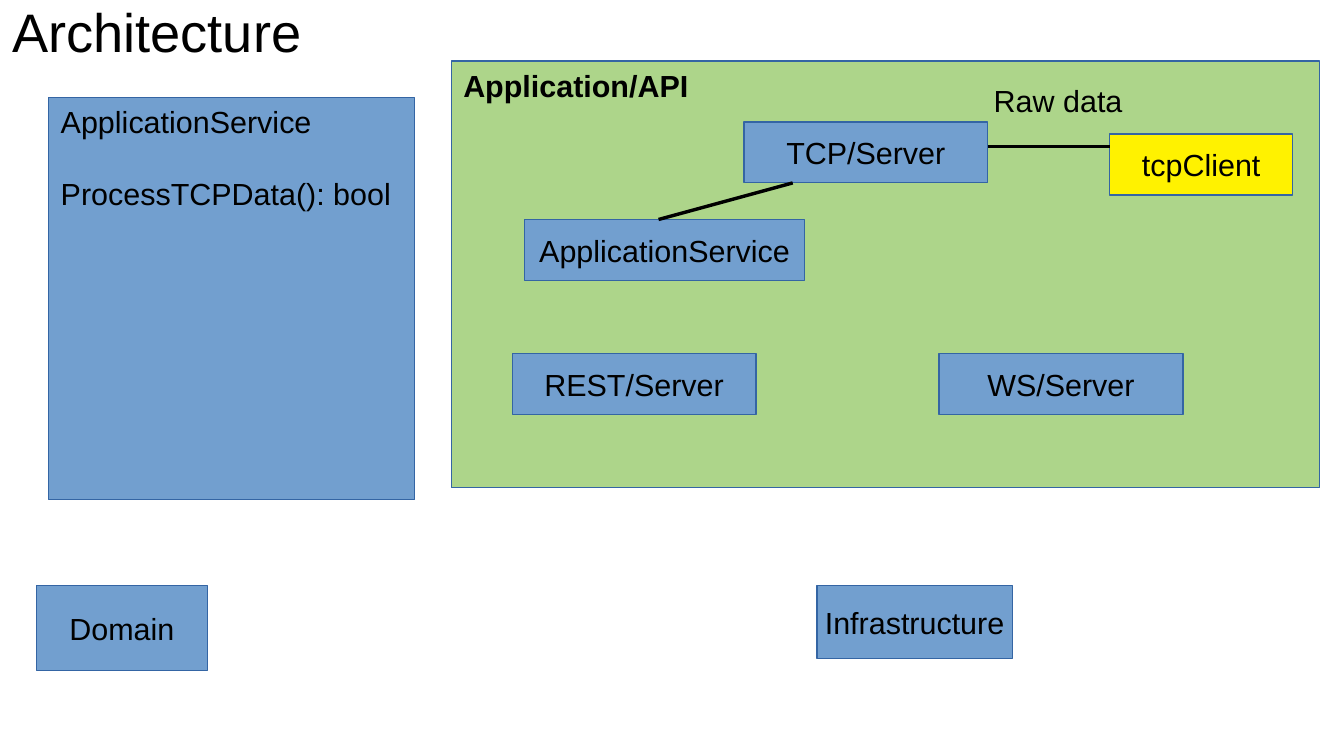
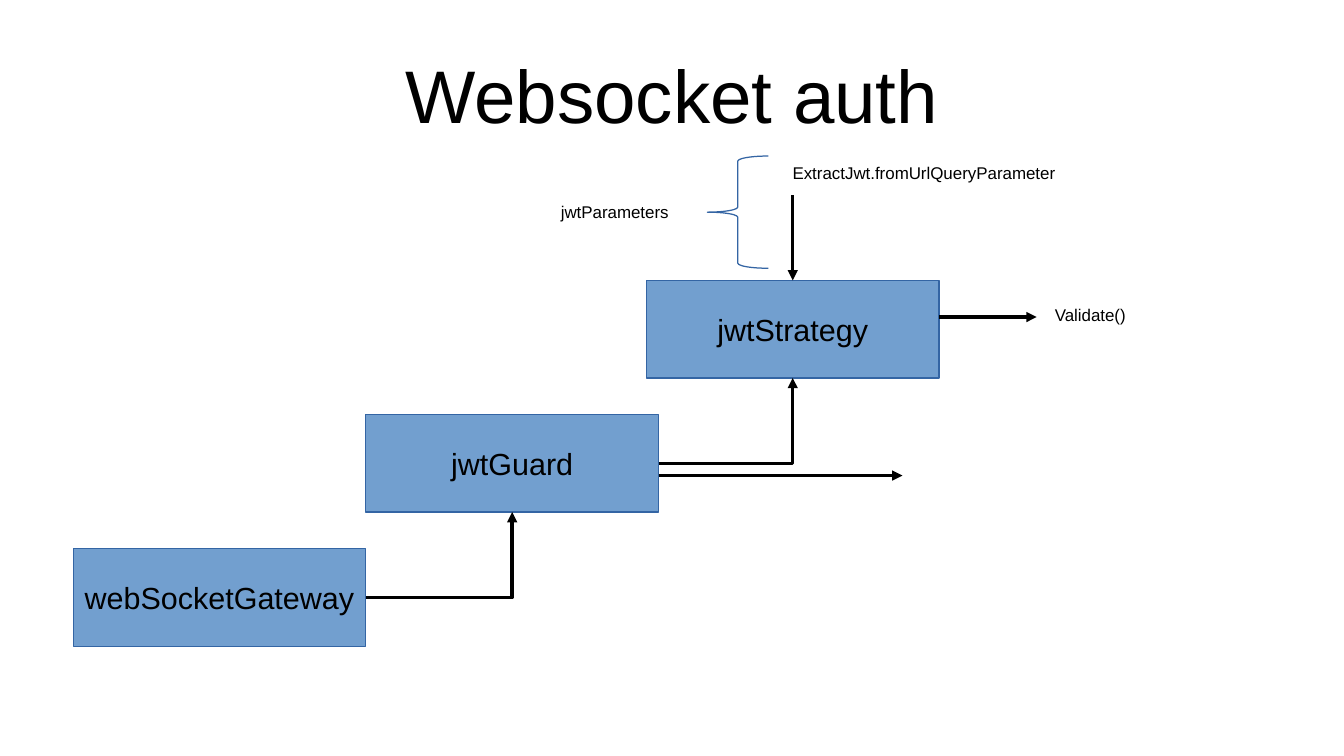
from pptx import Presentation
from pptx.dml.color import RGBColor
from pptx.enum.shapes import MSO_CONNECTOR as Connector, MSO_SHAPE as Shape
from pptx.enum.text import MSO_ANCHOR as Anchor, PP_ALIGN as Align
from pptx.oxml.ns import qn
from pptx.util import Pt
from lxml.etree import SubElement

BLUE, GREEN, YELLOW = "729FCF", "ADD58A", "FFF200"
BORDER, BLACK = "3465A4", "000000"
FONT = "Arial"
TOP, BOTTOM, RIGHT = 0, 2, 3
BLANK_LINE = 20.7

ARCHITECTURE = {
    "title": ("Architecture", (7.2, 0, 590.4, 36), 32, Align.LEFT),
    "panels": [
        (["Application/API"], (266.4, 36, 512.64, 252), GREEN, True),
        (["ApplicationService", "ProcessTCPData(): bool"], (28.8, 57.6, 216, 237.6), BLUE, False),
    ],
    "boxes": [
        ("Domain", (21.6, 345.6, 100.8, 50.4), BLUE),
        ("Infrastructure", (482.4, 345.6, 115.2, 43.2), BLUE),
        ("TCP/Server", (439.2, 72, 144, 36), BLUE),
        ("REST/Server", (302.4, 208.8, 144, 36), BLUE),
        ("WS/Server", (554.4, 208.8, 144, 36), BLUE),
        ("tcpClient", (655.2, 79.2, 108, 36), YELLOW),
        ("ApplicationService", (309.6, 129.6, 165.6, 36), BLUE),
    ],
    "labels": [("Raw data", (579.6, 44.64, 100, 27.36), 18)],
    "lines": [(655.2, 86.4, 583.2, 86.4), (468, 108, 388.8, 129.6)],
}

AUTH_TITLE = ("Websocket auth", (39.6, 18, 714.24, 74.88), 44, Align.CENTER)
AUTH_STEPS = [("webSocketGateway", 43.2), ("jwtGuard", 216), ("jwtStrategy", 381.6)]
STEP_TOP, STEP_RISE, STEP_WIDTH, STEP_HEIGHT = 324, 79.2, 172.8, 57.6
AUTH_LABELS = [
    ("ExtractJwt.fromUrlQueryParameter", (460.8, 92.16, 169.2, 18), 10),
    ("jwtParameters", (324, 115.2, 86.4, 18), 10),
    ("Validate()", (615.6, 176.4, 169.2, 18), 10),
]
BRACE = (417.6, 92.16, 36, 66.24)
PARAMETER_ARROW = (468, 115.2, 468, 165.6)
SIDE_ARROWS = [(554.4, 187.2, 612, 187.2), (388.8, 280.8, 532.8, 280.8)]


def color(value):
    return RGBColor.from_string(value)


def points(values):
    return [Pt(value) for value in values]


def apply(target, formats):
    for name, value in formats.items():
        setattr(target, name, value)


def write(box, texts, size, align, bold=False, **frame_formats):
    frame = box.text_frame
    apply(frame, frame_formats)
    for index, text in enumerate(texts):
        para = frame.add_paragraph() if index else frame.paragraphs[0]
        apply(para, {"alignment": align, "space_before": Pt(BLANK_LINE if index else 0)})
        span = para.add_run()
        span.text = text
        apply(span.font, {"name": FONT, "size": Pt(size), "bold": bold})
        span.font.color.rgb = color(BLACK)


def add_outlined(page, kind, place, fill=None):
    box = page.shapes.add_shape(kind, *points(place))
    box.shadow.inherit = False
    if fill:
        box.fill.solid()
        box.fill.fore_color.rgb = color(fill)
    else:
        box.fill.background()
    box.line.color.rgb = color(BORDER)
    box.line.width = Pt(0)
    return box


def add_box(page, text, place, fill):
    box = add_outlined(page, Shape.RECTANGLE, place, fill)
    write(box, [text], 18, Align.CENTER, vertical_anchor=Anchor.MIDDLE, word_wrap=False)
    return box


def add_panel(page, texts, place, fill, bold):
    panel = add_outlined(page, Shape.RECTANGLE, place, fill)
    write(panel, texts, 18, Align.LEFT, bold, vertical_anchor=Anchor.TOP, word_wrap=True)


def add_label(page, text, place, size):
    write(page.shapes.add_textbox(*points(place)), [text], size, Align.LEFT, word_wrap=True)


def add_title(page, text, place, size, align):
    margins = {"margin_" + side: 0 for side in ("left", "top", "right", "bottom")}
    write(page.shapes.add_textbox(*points(place)), [text], size, align,
          vertical_anchor=Anchor.MIDDLE, word_wrap=True, **margins)


def add_line(page, ends, arrow=False, kind=Connector.STRAIGHT):
    line = page.shapes.add_connector(kind, *points(ends))
    line.line.color.rgb = color(BLACK)
    line.line.width = Pt(0)
    properties = line._element.spPr
    if arrow:
        SubElement(properties.find(qn("a:ln")), qn("a:tailEnd"), type="triangle")
    if kind == Connector.ELBOW:
        properties.find(qn("a:prstGeom")).set("prst", "bentConnector2")
    SubElement(properties, qn("a:effectLst"))
    return line


def build_architecture(page):
    add_title(page, *ARCHITECTURE["title"])
    for key, add in (("panels", add_panel), ("boxes", add_box), ("labels", add_label)):
        for item in ARCHITECTURE[key]:
            add(page, *item)
    for ends in ARCHITECTURE["lines"]:
        add_line(page, ends)


def build_auth(page):
    add_title(page, *AUTH_TITLE)
    places = [(left, STEP_TOP - index * STEP_RISE, STEP_WIDTH, STEP_HEIGHT)
              for index, (_, left) in enumerate(AUTH_STEPS)]
    boxes = [add_box(page, text, place, BLUE)
             for (text, _), place in zip(AUTH_STEPS, places)]
    for index in range(len(boxes) - 1):
        (left, top, width, height), (next_left, next_top, _, _) = places[index:index + 2]
        ends = (left + width, top + height / 2, next_left + width / 2, next_top + height)
        elbow = add_line(page, ends, True, Connector.ELBOW)
        elbow.begin_connect(boxes[index], RIGHT)
        elbow.end_connect(boxes[index + 1], BOTTOM)
    add_line(page, PARAMETER_ARROW, True).end_connect(boxes[-1], TOP)
    for ends in SIDE_ARROWS:
        add_line(page, ends, True)
    add_outlined(page, Shape.LEFT_BRACE, BRACE)
    for label in AUTH_LABELS:
        add_label(page, *label)


def main():
    deck = Presentation()
    apply(deck, {"slide_width": Pt(793.44), "slide_height": Pt(446.4)})
    for build in (build_architecture, build_auth):
        build(deck.slides.add_slide(deck.slide_layouts[6]))
    deck.save("out.pptx")


if __name__ == "__main__":
    main()
